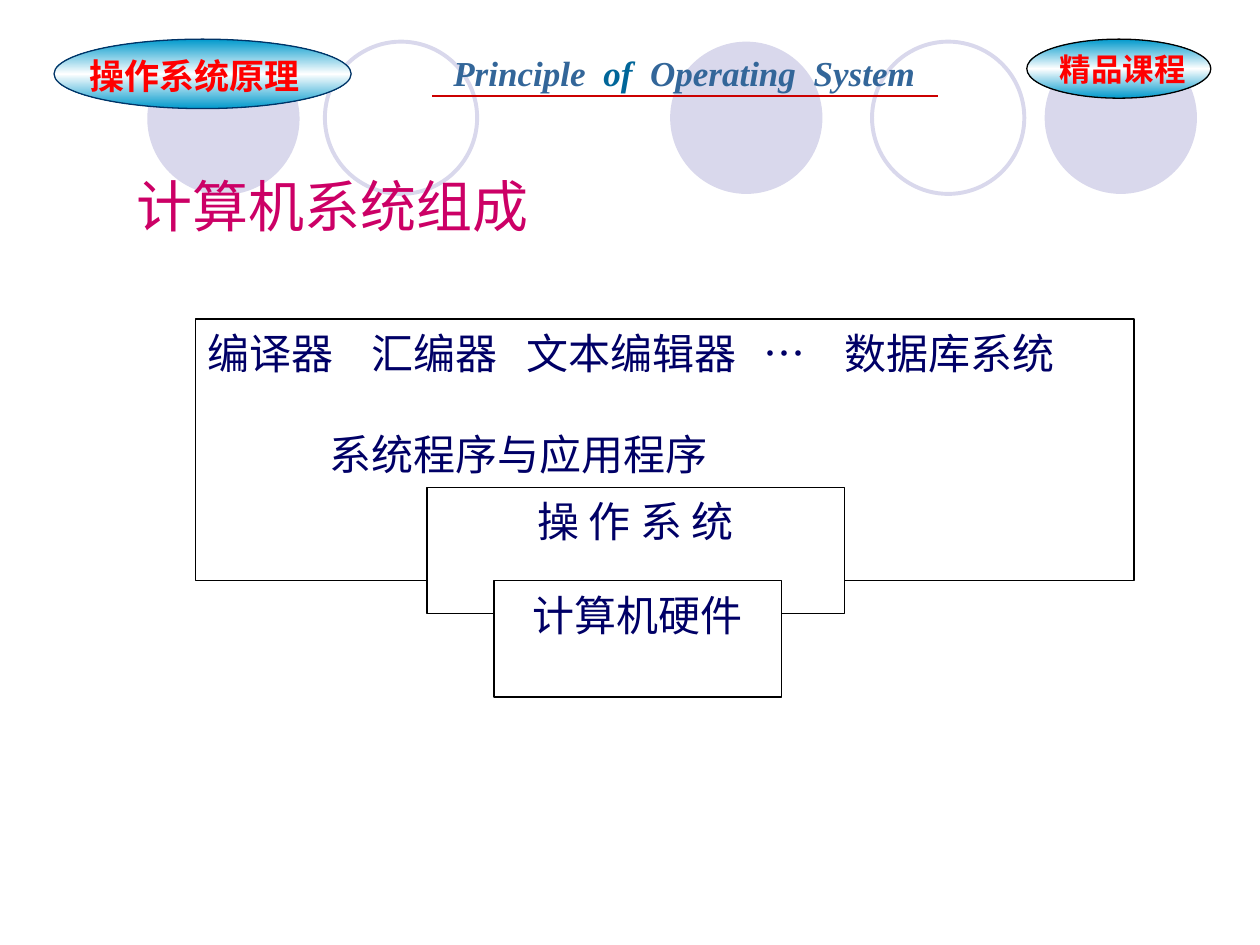
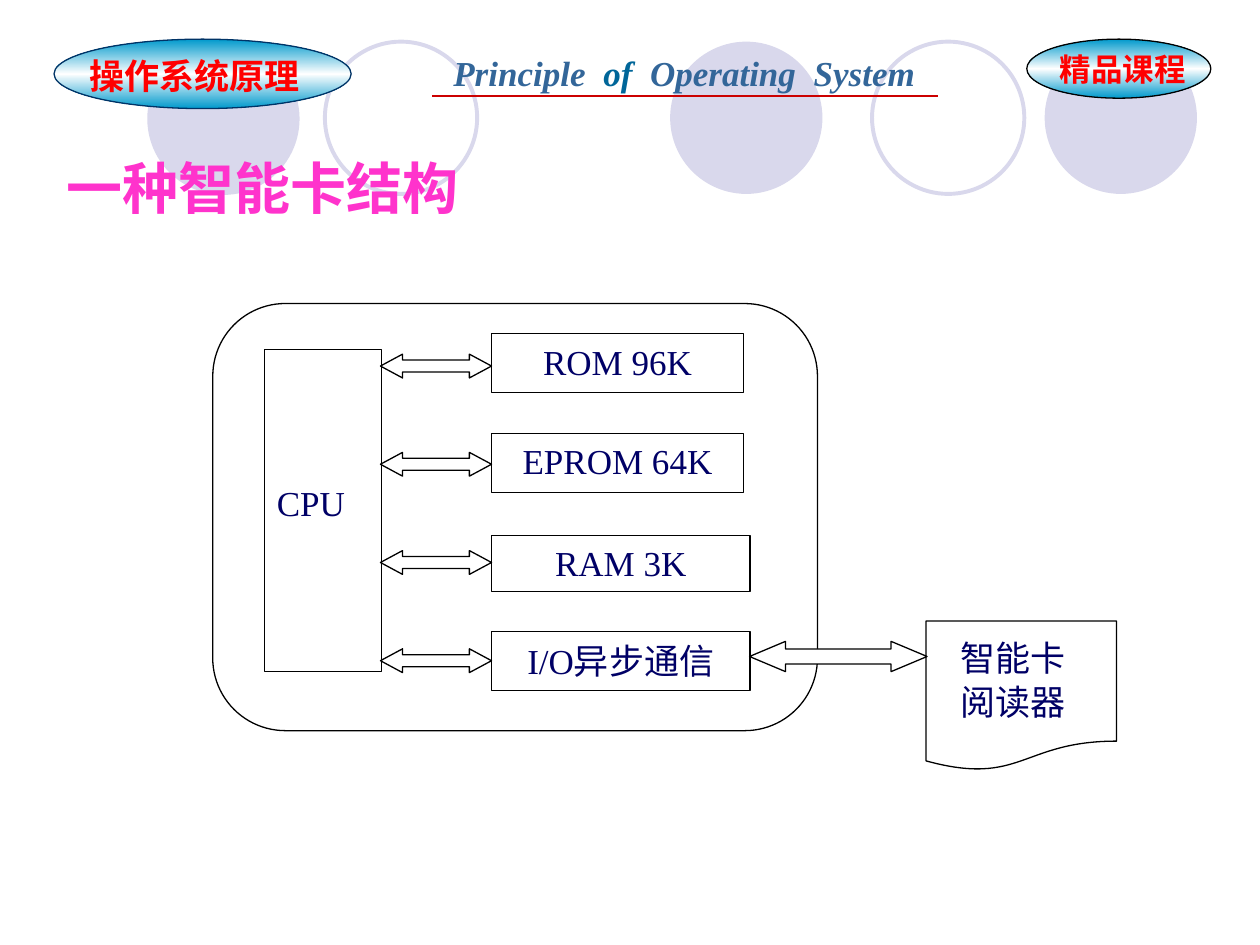
from copy import deepcopy
from dataclasses import dataclass

from pptx import Presentation
from pptx.dml.color import RGBColor
from pptx.enum.lang import MSO_LANGUAGE_ID as Lang
from pptx.enum.shapes import MSO_CONNECTOR as Connector, MSO_SHAPE as Shape
from pptx.enum.text import MSO_ANCHOR as Anchor, MSO_AUTO_SIZE as AutoSize, PP_ALIGN as Align
from pptx.oxml.ns import qn
from pptx.oxml.xmlchemy import OxmlElement
from pptx.util import Cm, Pt


@dataclass(frozen=True)
class Theme:
    paper: str = "FFFFFF"
    ink: str = "000066"
    outline: str = "000000"
    circle: str = "D9D8EC"
    badge: str = "0099CC"
    badge_edge: str = "003366"
    badge_text: str = "FF0000"
    course: str = "336699"
    course_of: str = "006699"
    rule: str = "CC0000"
    computer_title: str = "CC0066"
    card_title: str = "FF33CC"
    serif: str = "Times New Roman"
    sans: str = "Arial"
    chinese: str = "Noto Sans CJK SC"
    title_size: int = 32
    layer_size: int = 24
    label_size: int = 20
    badge_size: int = 18
    thin: float = 0.75
    ring: float = 2.25


THEME = Theme()


def rgb(colour):
    return RGBColor.from_string(colour)


class Deck:
    def __init__(self, theme):
        self.theme = theme
        self.presentation = Presentation()
        self.presentation.slide_width = Cm(25.4)
        self.presentation.slide_height = Cm(19.05)
        self.layout = self.presentation.slide_layouts[5]
        for footer in [p for p in self.layout.placeholders if p.placeholder_format.idx >= 10]:
            footer._element.getparent().remove(footer._element)
        self.slide = None

    def new_slide(self):
        self.slide = self.presentation.slides.add_slide(self.layout)

    def share_on_layout(self):
        tree = self.layout.shapes._spTree
        for item in list(self.slide.shapes):
            if not item.is_placeholder:
                tree.append(item._element)

    def run(self, paragraph, words, size, colour, face, bold=False, italic=False, spacing=0):
        run = paragraph.add_run()
        run.text = words
        font = run.font
        font.size, font.bold, font.italic = Pt(size), bold, italic
        font.color.rgb = rgb(colour)
        font.name = face
        properties = run._r.get_or_add_rPr()
        east_asian = OxmlElement("a:ea")
        east_asian.set("typeface", self.theme.chinese)
        properties.find(qn("a:latin")).addnext(east_asian)
        if spacing:
            properties.set("spc", str(spacing))
        if not words.isascii():
            font.language_id = Lang.SIMPLIFIED_CHINESE
            paragraph.line_spacing = Pt(size * 1.25)

    def lines(self, frame, lines, size, colour, face, align=Align.LEFT, **style):
        for number, words in enumerate(lines):
            paragraph = frame.add_paragraph() if number else frame.paragraphs[0]
            paragraph.alignment = align
            self.run(paragraph, words, size, colour, face, **style)

    def title(self, words, place, colour, bold=False):
        heading = self.slide.shapes.title
        heading.left, heading.top, heading.width, heading.height = map(Cm, place)
        frame = heading.text_frame
        frame.word_wrap, frame.auto_size = True, AutoSize.NONE
        frame.vertical_anchor = Anchor.TOP
        self.lines(frame, [words], self.theme.title_size, colour, self.theme.sans, bold=bold)

    def text(self, place, wrap=True):
        frame = self.slide.shapes.add_textbox(*map(Cm, place)).text_frame
        frame.word_wrap = wrap
        return frame

    def shape(self, kind, place, fill=THEME.paper, line=THEME.outline, weight=THEME.thin, adjust=()):
        shape = self.slide.shapes.add_shape(kind, *map(Cm, place))
        shape.shadow.inherit = False
        if fill:
            shape.fill.solid()
            shape.fill.fore_color.rgb = rgb(fill)
        else:
            shape.fill.background()
        if line:
            shape.line.color.rgb = rgb(line)
            shape.line.width = Pt(weight)
        else:
            shape.line.fill.background()
        for index, value in enumerate(adjust):
            shape.adjustments[index] = value
        shape.text_frame.word_wrap = True
        shape.text_frame.vertical_anchor = Anchor.TOP
        return shape

    def box(self, place, lines, size, face, align=Align.CENTER, line=THEME.outline):
        frame = self.shape(Shape.RECTANGLE, place, line=line).text_frame
        self.lines(frame, lines, size, self.theme.ink, face, align)
        return frame

    def arrow(self, place, head):
        self.shape(Shape.LEFT_RIGHT_ARROW, place, adjust=(0.5, head))

    def badge(self, place, edge):
        oval = self.shape(Shape.OVAL, place, line=edge)
        oval.fill.gradient()
        oval.fill.gradient_angle = 90
        stops = oval._element.spPr.find(".//" + qn("a:gsLst"))
        stops.insert(1, deepcopy(stops[0]))
        shades = (self.theme.badge, self.theme.paper, self.theme.badge)
        for stop, position, shade in zip(oval.fill.gradient_stops, (0, 0.5, 1), shades):
            stop.position = position
            stop.color.rgb = rgb(shade)

    def rule(self, left, right, top, colour):
        rule = self.slide.shapes.add_connector(Connector.STRAIGHT, Cm(left), Cm(top), Cm(right), Cm(top))
        rule.line.color.rgb = rgb(colour)
        rule.line.width = Pt(1)
        rule._element.spPr.append(OxmlElement("a:effectLst"))

    def tabs(self, paragraph, positions):
        stops = OxmlElement("a:tabLst")
        for position in positions:
            stop = OxmlElement("a:tab")
            stop.set("pos", str(Cm(position)))
            stop.set("algn", "l")
            stops.append(stop)
        paragraph._p.get_or_add_pPr().append(stops)

    def course_header(self):
        theme = self.theme
        diameter = 3.07
        for left, top in ((13.51, 0.84), (21.06, 0.84), (2.97, 0.86)):
            self.shape(Shape.OVAL, (left, top, diameter, diameter), theme.circle, None)
        for left in (17.58, 6.55):
            self.shape(Shape.OVAL, (left, 0.84, diameter, diameter), None, theme.circle, theme.ring)
        self.badge((1.09, 0.79, 5.99, 1.4), theme.badge_edge)
        course = self.text((1.55, 0.94, 4.75, 1.12), wrap=False)
        self.lines(course, ["操作系统原理"], theme.label_size, theme.badge_text, theme.serif, bold=True)

        english = self.text((8.89, 0.91, 9.98, 1.12), wrap=False).paragraphs[0]
        for words, colour, spacing in (
            ("Principle", theme.course, 0), (" ", theme.course, 500),
            ("of", theme.course_of, 0), (" ", theme.course_of, 500),
            ("Operating", theme.course, 0), (" ", theme.course, 500),
            ("System", theme.course, 0),
        ):
            self.run(english, words, theme.label_size, colour, theme.serif, True, True, spacing)
        self.rule(8.71, 18.9, 1.93, theme.rule)

        self.badge((20.7, 0.79, 3.71, 1.19), theme.outline)
        quality = self.text((21.11, 0.86, 3.51, 1.02))
        self.lines(quality, ["精品课程"], theme.badge_size, theme.badge_text, theme.sans, bold=True)


def computer_system(deck):
    theme = deck.theme
    deck.title("计算机系统组成", (2.49, 3.28, 9.19, 1.63), theme.computer_title)
    programs = "\t".join(("编译器", "汇编器", "文本编辑器", "…", "数据库系统"))
    software = deck.box((3.94, 6.43, 18.92, 5.28), [programs, "系统程序与应用程序"],
                        theme.layer_size, theme.chinese, Align.LEFT)
    program_row, caption = software.paragraphs
    deck.tabs(program_row, (3.3, 6.43, 11.2, 12.83))
    caption.space_before = Pt(28)
    caption._p.get_or_add_pPr().set("marL", str(Cm(2.46)))
    for layer, place in (
        ("操 作 系 统", (8.61, 9.83, 8.41, 2.54)),
        ("计算机硬件", (9.96, 11.71, 5.79, 2.34)),
    ):
        deck.box(place, [layer], theme.layer_size, theme.chinese)


def smart_card(deck):
    theme = deck.theme
    deck.title("一种智能卡结构", (1.09, 2.92, 21.79, 1.63), theme.card_title, bold=True)
    deck.shape(Shape.ROUNDED_RECTANGLE, (4.29, 6.12, 12.19, 8.61), adjust=(0.17,))
    cpu = deck.box((5.33, 7.04, 2.36, 6.5), ["CPU"], theme.label_size, theme.serif, Align.LEFT)
    cpu.margin_top = Cm(2.67)
    units = (
        ("ROM 96K", 6.73, 5.08, 1.19),
        ("EPROM 64K", 8.74, 5.08, 1.19),
        ("RAM 3K", 10.8, 5.21, 1.12),
        ("I/O异步通信", 12.73, 5.21, 1.19),
    )
    for row, (unit, top, width, height) in enumerate(units):
        deck.box((9.91, top, width, height), [unit], theme.label_size, theme.serif)
        deck.arrow((7.67, 7.14 + 1.98 * row, 2.24, 0.48), 0.93)
    deck.shape(Shape.FLOWCHART_DOCUMENT, (18.67, 12.52, 3.84, 3.02))
    deck.box((18.77, 12.67, 3.3, 2.16), ["智能卡", "阅读器"], theme.label_size, theme.serif, line=None)
    deck.arrow((15.11, 12.93, 3.58, 0.61), 1.19)


def main():
    deck = Deck(THEME)
    deck.new_slide()
    deck.course_header()
    deck.share_on_layout()
    computer_system(deck)
    deck.new_slide()
    smart_card(deck)
    deck.presentation.save("out.pptx")


if __name__ == "__main__":
    main()
